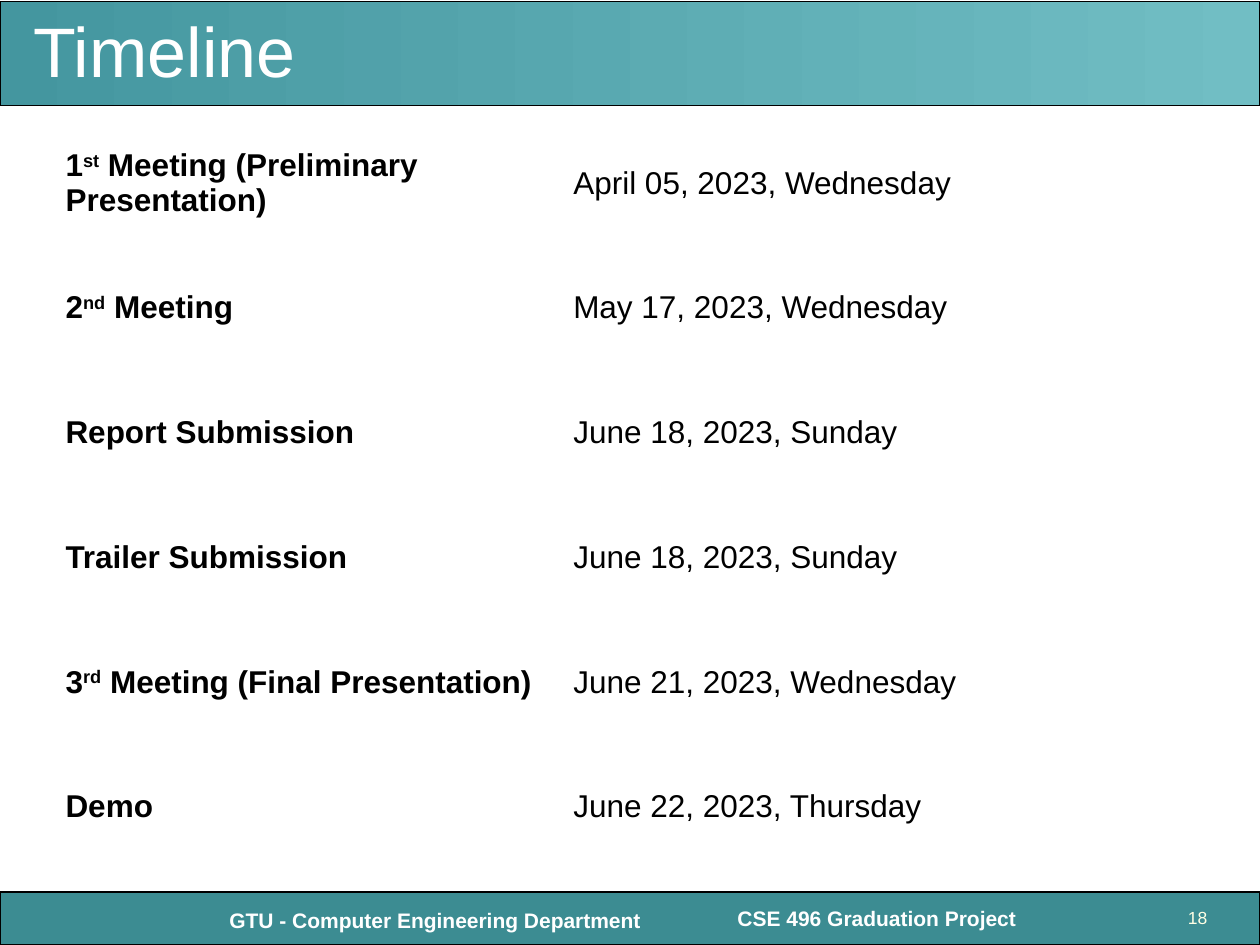
from pptx import Presentation
from pptx.dml.color import RGBColor
from pptx.enum.shapes import MSO_SHAPE as Shape
from pptx.enum.text import MSO_ANCHOR as Anchor, PP_ALIGN as Align
from pptx.util import Inches, Pt


def color(code):
    return RGBColor.from_string(code)


class Deck:
    face = "Arial"
    dark = "000000"
    light = "FFFFFF"

    def __init__(self, wide, high):
        self.prs = Presentation()
        self.prs.slide_width = Inches(wide)
        self.prs.slide_height = Inches(high)
        self.slide = self.prs.slides.add_slide(self.prs.slide_layouts[6])

    def font(self, para, size, code, bold=False):
        font = para.font
        font.name = self.face
        font.size = Pt(size)
        font.bold = bold
        font.color.rgb = color(code)

    def bar(self, top, high, *codes):
        bar = self.slide.shapes.add_shape(
            Shape.RECTANGLE, 0, Inches(top), self.prs.slide_width, Inches(high))
        bar.shadow.inherit = False
        bar.line.color.rgb = color(self.dark)
        bar.line.width = Pt(0.75)
        if len(codes) == 1:
            bar.fill.solid()
            bar.fill.fore_color.rgb = color(codes[0])
        else:
            bar.fill.gradient()
            bar.fill.gradient_angle = 0
            for stop, code in zip(bar.fill.gradient_stops, codes):
                stop.color.rgb = color(code)

    def text(self, words, box, size, code=light, bold=False,
             align=Align.LEFT, anchor=Anchor.TOP, space=1.0):
        frame = self.slide.shapes.add_textbox(*map(Inches, box)).text_frame
        frame.word_wrap = True
        frame.vertical_anchor = anchor
        para = frame.paragraphs[0]
        para.text = words
        para.alignment = align
        para.line_spacing = space
        self.font(para, size, code, bold)

    def table(self, left, top, cols, high, rows):
        table = self.slide.shapes.add_table(
            len(rows), len(cols), Inches(left), Inches(top),
            Inches(sum(cols)), Inches(high * len(rows))).table
        table.first_row = table.horz_banding = False
        for col, wide in zip(table.columns, cols):
            col.width = Inches(wide)
        for cell in table.iter_cells():
            cell.fill.background()
            cell.vertical_anchor = Anchor.MIDDLE
        for i, (event, date) in enumerate(rows):
            for j, parts in enumerate((event, (date,))):
                para = table.cell(i, j).text_frame.paragraphs[0]
                self.font(para, 18, self.dark, bold=j == 0)
                for k, part in enumerate(parts):
                    run = para.add_run()
                    run.text = part
                    if k == 1:
                        run.font._element.set("baseline", "30000")

    def save(self):
        self.prs.save("out.pptx")


def main():
    deck = Deck(10, 7.5)
    deck.bar(7.08, 0.42, "3C8C92")
    deck.bar(0.01, 0.83, "44969F", "71BEC4")
    deck.text("GTU - Computer Engineering Department", (1.58, 7.15, 3.75, 0.3),
              12, bold=True, align=Align.CENTER)
    deck.text("CSE 496 Graduation Project", (5.17, 7.14, 3.58, 0.3),
              12, bold=True, align=Align.CENTER)
    deck.text("18", (9.33, 7.17, 0.5, 0.08), 10, "FFFFE5")
    deck.text("Timeline", (0.17, 0.12, 8.58, 0.63), 40,
              anchor=Anchor.MIDDLE, space=0.9)
    deck.table(0.42, 0.96, (4.03, 3.47, 1.67), 0.99, [
        (("1", "st", " Meeting (Preliminary Presentation)"),
         "April 05, 2023, Wednesday"),
        (("2", "nd", " Meeting"), "May 17, 2023, Wednesday"),
        (("Report Submission",), "June 18, 2023, Sunday"),
        (("Trailer Submission",), "June 18, 2023, Sunday"),
        (("3", "rd", " Meeting (Final Presentation)"),
         "June 21, 2023, Wednesday"),
        (("Demo",), "June 22, 2023, Thursday"),
    ])
    deck.save()


if __name__ == "__main__":
    main()
